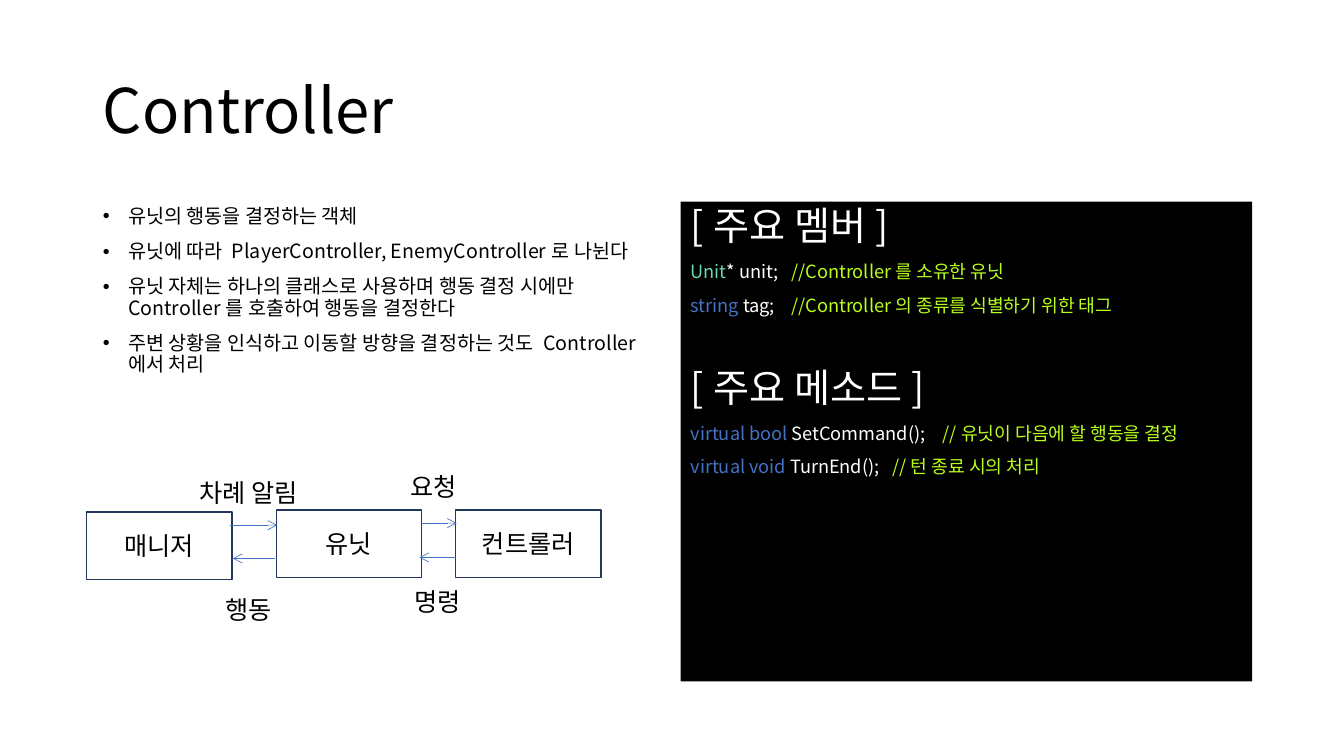
from lxml.etree import SubElement
from pptx import Presentation
from pptx.dml.color import RGBColor
from pptx.enum.shapes import MSO_CONNECTOR, MSO_SHAPE
from pptx.enum.text import MSO_ANCHOR, MSO_AUTO_SIZE, PP_ALIGN
from pptx.oxml.ns import qn
from pptx.util import Pt

PX = 9144  # 100 px to the inch
THEME = {
    "font": "Noto Sans CJK KR",
    "ink": "000000", "paper": "FFFFFF", "panel": "000000",
    "plain": "FFFFFF", "type": "69D8AD", "keyword": "4472C4", "comment": "BAFF1A",
    "border": "21375E", "arrow": "4472C4",
    "title": 44, "heading": 28, "label": 18, "bullet": 14, "code": 13,
}

BULLETS = [
    "유닛의 행동을 결정하는 객체",
    "유닛에 따라 PlayerController, EnemyController로 나뉜다",
    "유닛 자체는 하나의 클래스로 사용하며 행동 결정 시에만 Controller를 호출하여 행동을 결정한다",
    "주변 상황을 인식하고 이동할 방향을 결정하는 것도 Controller에서 처리",
]
# Each section: heading, then code lines as (comment tab stop, runs).
SECTIONS = [
    ("[주요 멤버]", [
        (100, [("Unit", "type"), ("* unit;\t", "plain"),
               ("//Controller를 소유한 유닛", "comment")]),
        (100, [("string ", "keyword"), ("tag;\t", "plain"),
               ("//Controller의 종류를 식별하기 위한 태그", "comment")]),
    ]),
    ("[주요 메소드]", [
        (241, [("virtual bool", "keyword"), (" SetCommand();\t", "plain"),
               ("//유닛이 다음에 할 행동을 결정", "comment")]),
        (224, [("virtual void", "keyword"), (" TurnEnd();\t", "plain"),
               ("//턴 종료 시의 처리", "comment")]),
    ]),
]
NODES = [("매니저", 0, 45), ("유닛", 188, 43), ("컨트롤러", 366, 43)]
ARROWS = [(142, 189, 58), (332, 367, 56), (366, 330, 90), (187, 145, 91)]
LABELS = [("차례 알림", 102, 6, 139), ("요청", 311, 0, 72),
          ("행동", 128, 122, 72), ("명령", 315, 114, 72)]


def rgb(name):
    return RGBColor.from_string(THEME[name])


def px(*lengths):
    return [n * PX for n in lengths]


def place(shape, box):
    for name, value in zip(("left", "top", "width", "height"), px(*box)):
        setattr(shape, name, value)


def add_run(p, text, size, color="ink"):
    r = p.add_run()
    r.text = text
    for name, value in {"size": Pt(THEME[size]), "name": THEME["font"], "bold": False}.items():
        setattr(r.font, name, value)
    r.font.color.rgb = rgb(color)
    SubElement(r.font._element, qn("a:ea"), typeface=THEME["font"])


def next_paragraph(tf, before=10, indent=0, bullet=None, tab=None):
    """Use the empty first paragraph, or add one, and set its layout."""
    first = not tf.paragraphs[0].runs
    p = tf.paragraphs[0] if first else tf.add_paragraph()
    pPr = p._p.get_or_add_pPr()
    pPr.set("marL", str(indent * PX))
    pPr.set("indent", str(-indent * PX))
    if bullet:
        SubElement(pPr, qn("a:buChar"), char=bullet)
    else:
        SubElement(pPr, qn("a:buNone"))
    if tab:
        tabs = SubElement(pPr, qn("a:tabLst"))
        SubElement(tabs, qn("a:tab"), pos=str(tab * PX), algn="l")
    layout = {"alignment": PP_ALIGN.LEFT, "line_spacing": 0.9,
              "space_before": Pt(0 if first else before), "space_after": Pt(0)}
    for name, value in layout.items():
        setattr(p, name, value)
    return p


def text_frame(shape, anchor=MSO_ANCHOR.TOP):
    tf = shape.text_frame
    for name, value in {"word_wrap": True, "auto_size": MSO_AUTO_SIZE.NONE,
                        "vertical_anchor": anchor}.items():
        setattr(tf, name, value)
    return tf


def fill_title(sp, box):
    place(sp, box)
    tf = text_frame(sp, MSO_ANCHOR.MIDDLE)
    add_run(next_paragraph(tf), "Controller", "title")


def fill_bullets(sp, box):
    place(sp, box)
    tf = text_frame(sp)
    for text in BULLETS:
        add_run(next_paragraph(tf, indent=25, bullet="•"), text, "bullet")


def fill_code_panel(sp, box):
    place(sp, box)
    sp.fill.solid()
    sp.fill.fore_color.rgb = rgb("panel")
    tf = text_frame(sp)
    for heading, lines in SECTIONS:
        add_run(next_paragraph(tf, before=37), heading, "heading", "plain")
        for tab, runs in lines:
            p = next_paragraph(tf, tab=tab)
            for text, color in runs:
                add_run(p, text, "code", color)


def add_node(s, text, box):
    sp = s.shapes.add_shape(MSO_SHAPE.RECTANGLE, *px(*box))
    sp.shadow.inherit = False
    sp.fill.solid()
    sp.fill.fore_color.rgb = rgb("paper")
    sp.line.color.rgb = rgb("border")
    sp.line.width = Pt(1)
    p = text_frame(sp, MSO_ANCHOR.MIDDLE).paragraphs[0]
    p.alignment = PP_ALIGN.CENTER
    add_run(p, text, "label")


def add_arrow(s, x1, x2, y):
    cx = s.shapes.add_connector(MSO_CONNECTOR.STRAIGHT, *px(x1, y, x2, y))
    cx.line.color.rgb = rgb("arrow")
    cx.line.width = Pt(0.5)
    SubElement(cx.line._get_or_add_ln(), qn("a:tailEnd"), type="arrow")
    SubElement(cx._element.spPr, qn("a:effectLst"))


def add_message_diagram(s, left, top):
    for text, x, y in NODES:
        add_node(s, text, (left + x, top + y, 144, 67))
    for x1, x2, y in ARROWS:
        add_arrow(s, left + x1, left + x2, top + y)
    for text, x, y, width in LABELS:
        tb = s.shapes.add_textbox(*px(left + x, top + y, width, 40))
        add_run(text_frame(tb).paragraphs[0], text, "label")


def main():
    prs = Presentation()
    prs.slide_width, prs.slide_height = px(1333, 750)
    s = prs.slides.add_slide(prs.slide_layouts[3])
    title, bullets, code = list(s.placeholders)[:3]
    fill_title(title, (92, 40, 1150, 145))
    fill_bullets(bullets, (92, 200, 567, 476))
    fill_code_panel(code, (675, 200, 567, 476))
    add_message_diagram(s, 86, 463)
    prs.save("out.pptx")


if __name__ == "__main__":
    main()
